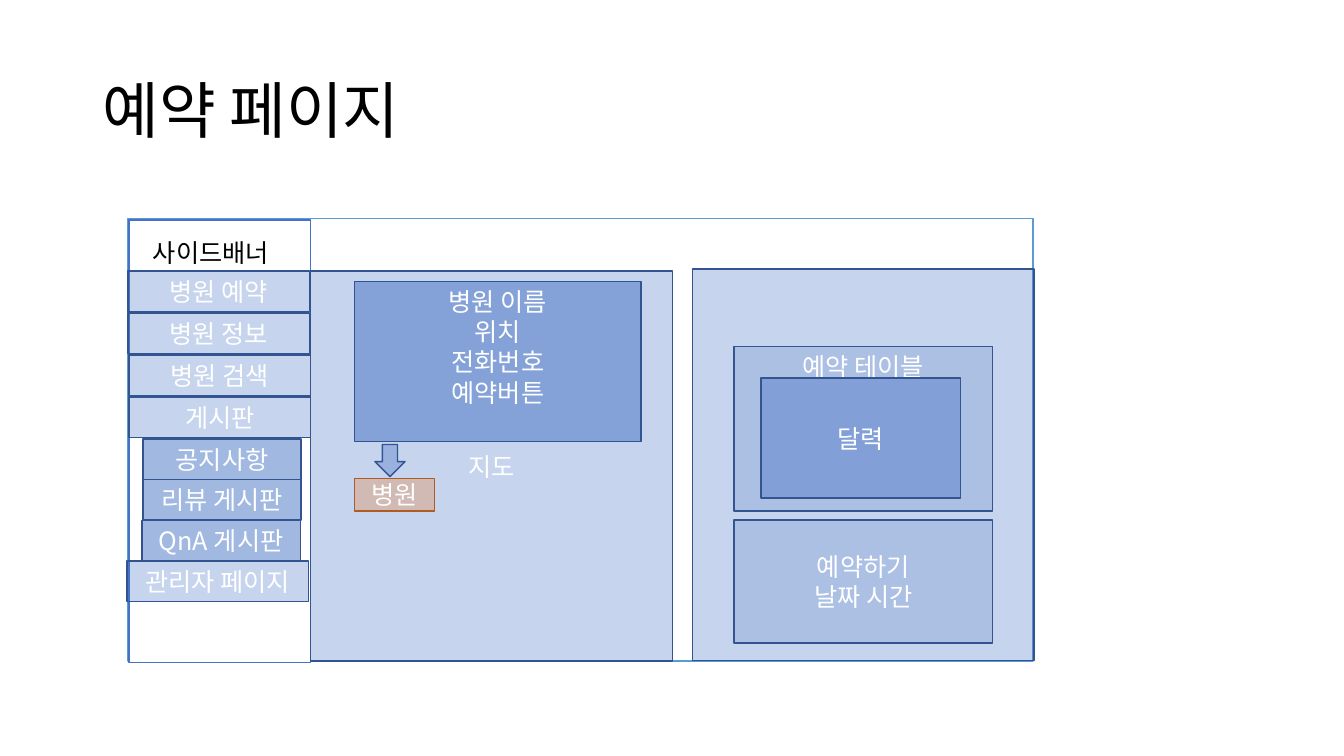
"""Build the reservation page wireframe slide."""
from lxml.etree import SubElement
from pptx import Presentation
from pptx.dml.color import RGBColor
from pptx.enum.shapes import MSO_SHAPE
from pptx.enum.text import MSO_ANCHOR, PP_ALIGN
from pptx.oxml.ns import qn
from pptx.util import Pt

THEME = {
    "font": "Noto Sans CJK KR",
    "title_size": 44,
    "body_size": 18,
    "black": "000000",
    "white": "FFFFFF",
    "blue": "4472C4",
    "blue_edge": "325491",
    "sky": "5B9BD5",
    "orange": "ED7D31",
    "orange_edge": "AF5C24",
}

TITLE = ("예약 페이지", (66.2, 28.8, 828, 104.4))
BANNER = ("사이드배너", (102.2, 166.3, 105.8, 28.8))

FRAMES = [
    ((91.4, 156.2, 646.6, 316.1), "sky"),
    ((92.2, 157, 129.6, 316.1), "blue"),
]

MENU = [
    ("병원 예약", "main", 91.4),
    ("병원 정보", "main", 91.4),
    ("병원 검색", "main", 92.2),
    ("게시판", "main", 92.2),
    ("공지사항", "sub", 102.2),
    ("리뷰 게시판", "sub", 102.2),
    ("QnA 게시판", "sub", 101.5),
    ("관리자 페이지", "main", 90.7),
]
MENU_TOP = 193.7
MENU_HEIGHT = 28.8
MENU_STYLE = {
    "main": {"width": 129.6, "step": 30, "opacity": 30},
    "sub": {"width": 113, "step": 29, "opacity": 50},
}

MAP_PARTS = [
    (["지도"], (221.8, 193.7, 258.5, 278.6), {"opacity": 30}),
    (["병원 이름", "위치", "전화번호", "예약버튼"], (253.4, 200.9, 204.5, 114.5),
     {"opacity": 50, "anchor": MSO_ANCHOR.TOP}),
    ([], (267.8, 317.5, 21.6, 23), {"opacity": 35, "preset": MSO_SHAPE.DOWN_ARROW}),
    (["병원"], (253.4, 342, 56.9, 23),
     {"opacity": 30, "fill": "orange", "edge": "orange_edge"}),
]

BOOKING_PARTS = [
    ([], (494.6, 192.2, 244.1, 279.4), {"opacity": 30}),
    (["예약 테이블"], (524.2, 247.7, 185, 117.4),
     {"opacity": 20, "anchor": MSO_ANCHOR.TOP}),
    (["달력"], (543.6, 270, 142.6, 85.7), {"opacity": 40}),
    (["예약하기", "날짜 시간"], (524.2, 371.5, 185, 87.8), {"opacity": 20}),
]


def color(name):
    return RGBColor.from_string(THEME[name])


def write(box, lines, size="body_size", ink="white", align=PP_ALIGN.CENTER,
          anchor=MSO_ANCHOR.MIDDLE, spacing=1.0):
    frame = box.text_frame
    frame.word_wrap = True
    frame.vertical_anchor = anchor
    for index, line in enumerate(lines):
        para = frame.add_paragraph() if index else frame.paragraphs[0]
        para.alignment = align
        para.line_spacing = spacing
        span = para.add_run()
        span.text = line
        span.font.size = Pt(THEME[size])
        span.font.color.rgb = color(ink)
        span.font.name = THEME["font"]
        SubElement(span.font._element, qn("a:ea"), typeface=THEME["font"])


def add_label(page, text, place, **text_format):
    box = page.shapes.add_textbox(*map(Pt, place))
    write(box, [text], ink="black", align=PP_ALIGN.LEFT, **text_format)


def add_box(page, lines, place, opacity=100, fill="blue", edge="blue_edge",
            preset=MSO_SHAPE.RECTANGLE, **text_format):
    box = page.shapes.add_shape(preset, *map(Pt, place))
    box.shadow.inherit = False
    box.fill.solid()
    box.fill.fore_color.rgb = color(fill)
    if opacity < 100:
        tint = box._element.spPr.find(qn("a:solidFill"))[0]
        SubElement(tint, qn("a:alpha"), val=str(opacity * 1000))
    box.line.color.rgb = color(edge)
    box.line.width = Pt(1)
    write(box, lines, **text_format)


def add_menu(page):
    top = MENU_TOP
    for text, level, left in MENU:
        style = MENU_STYLE[level]
        add_box(page, [text], (left, top, style["width"], MENU_HEIGHT),
                opacity=style["opacity"])
        top += style["step"]


deck = Presentation()
deck.slide_width, deck.slide_height = Pt(960), Pt(540)
page = deck.slides.add_slide(deck.slide_layouts[6])

add_label(page, *TITLE, size="title_size", spacing=0.9)
for place, edge in FRAMES:
    add_box(page, [], place, fill="white", edge=edge)
add_label(page, *BANNER, anchor=MSO_ANCHOR.TOP)
add_menu(page)
for lines, place, look in MAP_PARTS + BOOKING_PARTS:
    add_box(page, lines, place, **look)

deck.save("out.pptx")
